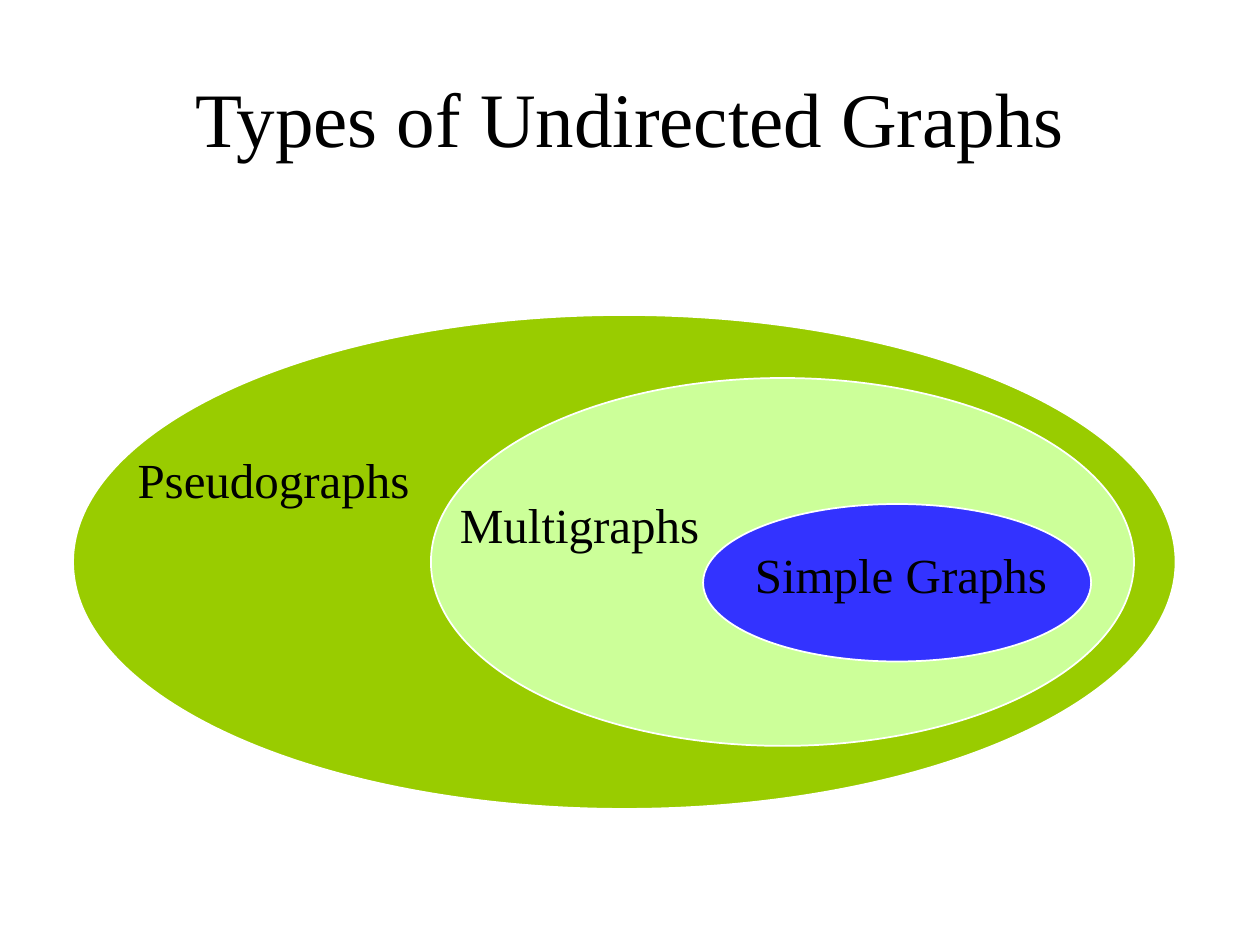
from pptx import Presentation
from pptx.dml.color import RGBColor
from pptx.enum.shapes import MSO_SHAPE
from pptx.enum.text import MSO_ANCHOR, MSO_AUTO_SIZE, PP_ALIGN
from pptx.util import Inches, Pt

BLACK = RGBColor(0x00, 0x00, 0x00)
WHITE = RGBColor(0xFF, 0xFF, 0xFF)
GREEN = RGBColor(0x99, 0xCC, 0x00)
LIGHT_GREEN = RGBColor(0xCC, 0xFF, 0x99)
BLUE = RGBColor(0x33, 0x33, 0xFF)
FONT = "Times New Roman"

GRAPH_SETS = [
    ("Pseudographs", GREEN, (0.58, 2.5, 8.75, 3.92), (0.41, 1.08, 2.36, 0.51)),
    ("Multigraphs", LIGHT_GREEN, (3.42, 3, 5.58, 2.92), (0.13, 0.94, 2.1, 0.51)),
    ("Simple Graphs", BLUE, (5.58, 4, 3.08, 1.25), (0.31, 0.33, 2.52, 0.51)),
]


def set_text(tf, text, size, frame_format, line_spacing=1.0):
    """Write one centred line of black text into a text frame."""
    for name, value in frame_format.items():
        setattr(tf, name, value)
    tf.text = text
    p = tf.paragraphs[0]
    for name, value in {"alignment": PP_ALIGN.CENTER, "line_spacing": line_spacing,
                        "space_before": Pt(0)}.items():
        setattr(p, name, value)
    for name, value in {"name": FONT, "size": Pt(size)}.items():
        setattr(p.runs[0].font, name, value)
    p.runs[0].font.color.rgb = BLACK


def add_title(s, text, box):
    """Place and format the slide title."""
    title = s.shapes.title
    title.left, title.top, title.width, title.height = map(Inches, box)
    set_text(title.text_frame, text, 44,
             {"vertical_anchor": MSO_ANCHOR.MIDDLE, "word_wrap": True,
              "auto_size": MSO_AUTO_SIZE.NONE})


def add_graph_set(s, name, color, box, label_box):
    """Draw one set as an ellipse, with its label placed relative to the box."""
    sp = s.shapes.add_shape(MSO_SHAPE.OVAL, *map(Inches, box))
    sp.shadow.inherit = False
    sp.fill.solid()
    sp.fill.fore_color.rgb = color
    sp.line.color.rgb = WHITE
    sp.line.width = Pt(1)
    left, top, width, height = label_box
    label = s.shapes.add_textbox(Inches(box[0] + left), Inches(box[1] + top),
                                 Inches(width), Inches(height))
    set_text(label.text_frame, name, 28,
             {"vertical_anchor": MSO_ANCHOR.MIDDLE, "word_wrap": False,
              "auto_size": MSO_AUTO_SIZE.SHAPE_TO_FIT_TEXT}, 0.87)


def main():
    """Build the slide and save it."""
    prs = Presentation()
    prs.slide_width, prs.slide_height = Inches(10), Inches(7.5)
    s = prs.slides.add_slide(prs.slide_layouts[5])
    add_title(s, "Types of Undirected Graphs", (0.5, 0.3, 9, 1.25))
    for graph_set in GRAPH_SETS:
        add_graph_set(s, *graph_set)
    prs.save("out.pptx")


if __name__ == "__main__":
    main()
